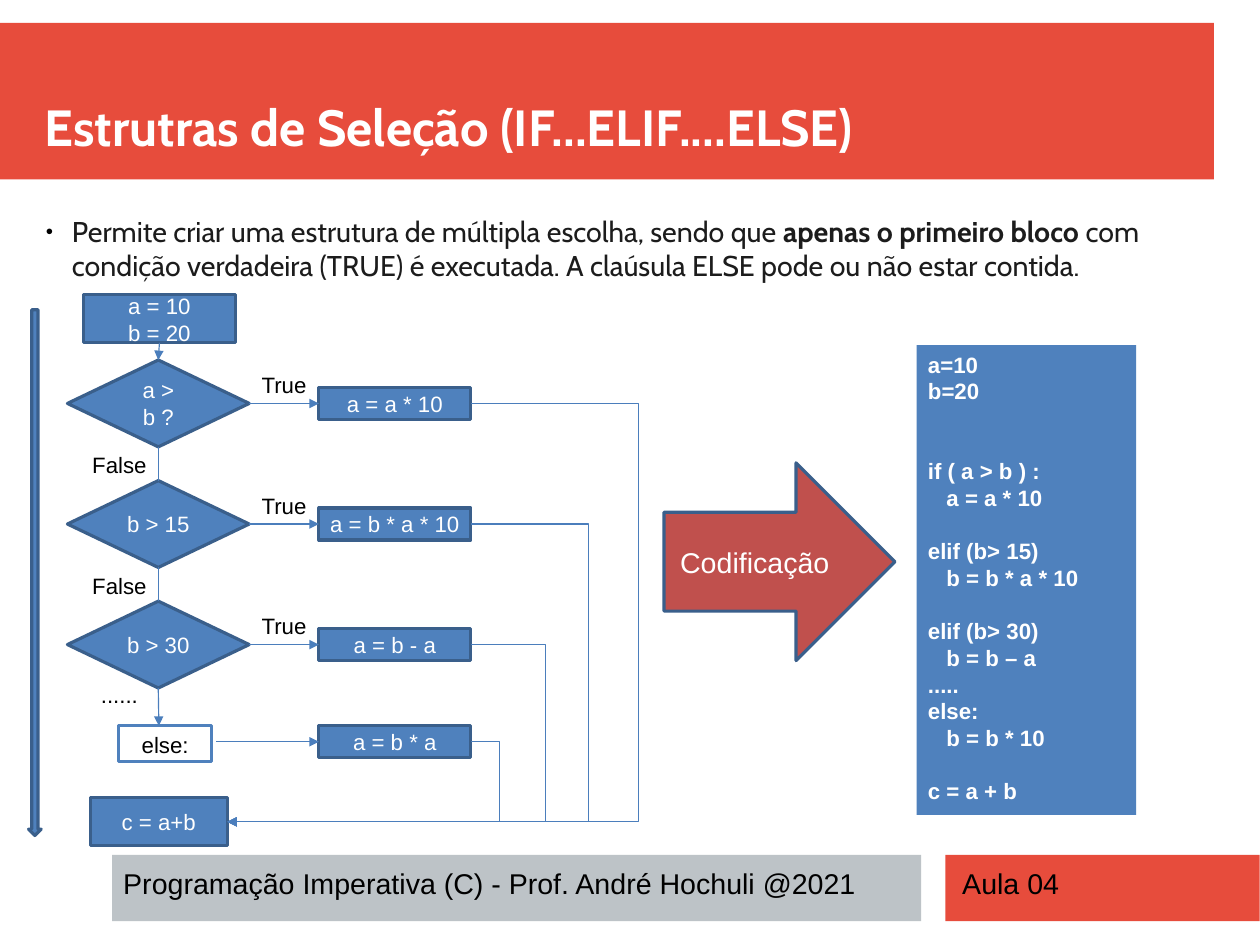
from lxml.etree import SubElement
from pptx import Presentation
from pptx.dml.color import RGBColor
from pptx.enum.shapes import MSO_CONNECTOR, MSO_SHAPE
from pptx.enum.text import MSO_ANCHOR, PP_ALIGN
from pptx.oxml.ns import qn
from pptx.util import Inches, Pt

RED, GRAY, BLUE, EDGE, LINK = "E74C3C", "BDC3C7", "4F81BD", "3A5F8B", "4B7EBC"
BLACK, WHITE, DARK = "000000", "FFFFFF", "1C1C1C"
color = RGBColor.from_string


def add_box(place, text="", fill=None, edge=None, kind=MSO_SHAPE.RECTANGLE, size=14,
            ink=WHITE, font="Arial", bold=False, align=PP_ALIGN.CENTER, anchor=MSO_ANCHOR.MIDDLE):
    place = [Inches(value) for value in place]
    if fill:
        box = page.shapes.add_shape(kind, *place)
        box.shadow.inherit = False
        box.fill.solid()
        box.fill.fore_color.rgb = color(fill)
        if edge:
            box.line.color.rgb = color(edge)
            box.line.width = Pt(2)
        else:
            box.line.fill.background()
    else:
        box = page.shapes.add_textbox(*place)
    frame = box.text_frame
    frame.word_wrap = True
    frame.vertical_anchor = anchor
    frame.text = text
    for para in frame.paragraphs:
        para.alignment = align
        for span in para.runs:
            span.font.size = Pt(size)
            span.font.name = font
            span.font.bold = bold
            span.font.color.rgb = color(ink)
    return box


def add_link(start, end, source=None, target=None, head=True, bend=None):
    kind = MSO_CONNECTOR.STRAIGHT if bend is None else MSO_CONNECTOR.ELBOW
    link = page.shapes.add_connector(kind, *[Inches(value) for value in (*start, *end)])
    link.line.color.rgb = color(LINK)
    link.line.width = Pt(0.75)
    if source:
        link.begin_connect(*source)
    if target:
        link.end_connect(*target)
    properties = link._element.spPr
    if head:
        SubElement(properties.find(qn("a:ln")), qn("a:tailEnd"), type="triangle")
    SubElement(properties, qn("a:effectLst"))
    if bend is not None:
        share = round((bend - start[0]) / (end[0] - start[0]) * 100000)
        geometry = properties.find(qn("a:prstGeom"))
        guides = geometry.find(qn("a:avLst"))
        if guides is None:
            guides = SubElement(geometry, qn("a:avLst"))
        SubElement(guides, qn("a:gd"), name="adj1", fmla=f"val {share}")


deck = Presentation()
deck.slide_width = Inches(28 / 2.54)
deck.slide_height = Inches(21 / 2.54)
page = deck.slides.add_slide(deck.slide_layouts[6])

add_box((0, 0.2, 10.62, 1.37), fill=RED)
add_box((8.27, 7.48, 2.75, 0.58), fill=RED)
add_box((0.98, 7.48, 7.08, 0.58), fill=GRAY)

title = add_box((0.39, 0.39, 10.23, 0.98), "Estrutras de Seleção (IF...ELIF....ELSE)", size=32,
                font="Cabin", bold=True, align=PP_ALIGN.LEFT, anchor=MSO_ANCHOR.BOTTOM)
body = add_box((0.39, 1.87, 10.03, 5.11), anchor=MSO_ANCHOR.TOP)
for box in (title, body):
    frame = box.text_frame
    frame.margin_left = frame.margin_top = frame.margin_right = frame.margin_bottom = 0

para = body.text_frame.paragraphs[0]
para.alignment = PP_ALIGN.LEFT
bullet = para._p.get_or_add_pPr()
bullet.set("marL", str(Inches(0.24)))
bullet.set("indent", str(Inches(-0.23)))
SubElement(SubElement(bullet, qn("a:buClr")), qn("a:srgbClr"), val=BLACK)
SubElement(bullet, qn("a:buSzPct"), val="45000")
SubElement(bullet, qn("a:buFont"), typeface="Arial")
SubElement(bullet, qn("a:buChar"), char="●")
para.space_after = Pt(11.4)
for text, bold in (
    ("Permite criar uma estrutura de múltipla escolha, sendo que ", False),
    ("apenas o primeiro bloco ", True),
    ("com condição verdadeira (TRUE) é executada. "
     "A claúsula ELSE pode ou não estar contida.", False),
):
    span = para.add_run()
    span.text = text
    span.font.size = Pt(18)
    span.font.name = "Cabin"
    span.font.bold = bold
    span.font.color.rgb = color(DARK)

for place, text in (
    ((0.98, 7.53, 7.04, 0.39), "Programação Imperativa (C) - Prof. André Hochuli @2021"),
    ((8.32, 7.53, 2.49, 0.39), "Aula 04"),
):
    add_box(place, text, size=18, ink=BLACK, align=PP_ALIGN.LEFT, anchor=MSO_ANCHOR.TOP)

add_box((0.25, 2.71, 0.11, 4.6), fill=BLUE, edge=EDGE, kind=MSO_SHAPE.DOWN_ARROW)
previous = add_box((0.73, 2.58, 1.33, 0.42), "a = 10\nb = 20", BLUE, EDGE)
add_box((0.79, 6.98, 1.2, 0.42), "c = a+b", BLUE, EDGE)

steps = (
    ("a > b ?", "a = a * 10", "False", 5.59),
    ("b > 15", "a = b * a * 10", "False", 5.15),
    ("b > 30", "a = b - a", "......", 4.77),
)
for index, (test, action, otherwise, bend) in enumerate(steps):
    middle = 3.53 + 1.055 * index
    decision = add_box((0.59, middle - 0.38, 1.59, 0.76), test, BLUE, EDGE, MSO_SHAPE.DIAMOND)
    target = add_box((2.79, middle - 0.14, 1.33, 0.28), action, BLUE, EDGE)
    add_box((2.16, middle - 0.33, 0.65, 0.28), "True", ink=BLACK, anchor=MSO_ANCHOR.TOP)
    add_box((0.64, middle + (0.27 if index == 2 else 0.37), 0.81, 0.25), otherwise,
            ink=BLACK, anchor=MSO_ANCHOR.TOP)
    add_link((2.18, middle), (2.79, middle), (decision, 3), (target, 1))
    add_link((1.39, middle - 0.6), (1.39, middle - 0.38), (previous, 2), (decision, 0),
             head=index == 0)
    add_link((4.12, middle), (1.99, 7.19), bend=bend)
    previous = decision

add_box((1.04, 6.35, 0.81, 0.31), "else:", WHITE, BLUE, ink=BLACK, anchor=MSO_ANCHOR.TOP)
fallback = add_box((2.79, 6.35, 1.33, 0.28), "a = b * a", BLUE, EDGE)
add_link((1.39, 6.02), (1.39, 6.35), source=(previous, 2))
add_link((1.89, 6.49), (2.79, 6.49), target=(fallback, 1))
add_link((4.12, 6.49), (1.99, 7.19), bend=4.37)

add_box((5.81, 4.05, 2.02, 1.73), "Codificação", "C0504D", EDGE, MSO_SHAPE.RIGHT_ARROW, size=18)

code = (
    ("a=10", 0),
    ("b=20", 0),
    ("if ( a > b ) :", 2),
    ("   a = a * 10", 0),
    ("elif (b> 15)", 1),
    ("   b = b * a * 10", 0),
    ("elif (b> 30)", 1),
    ("   b = b – a", 0),
    (".....", 0),
    ("else:", 0),
    ("   b = b * 10", 0),
    ("c = a + b", 1),
)
listing = add_box((8.02, 3.02, 1.92, 4.11), "\n".join(line for line, gap in code), BLUE,
                  bold=True, align=PP_ALIGN.LEFT, anchor=MSO_ANCHOR.TOP)
for para, (line, gap) in zip(listing.text_frame.paragraphs, code):
    if gap:
        para.space_before = Pt(16.8 * gap)

deck.save("out.pptx")
